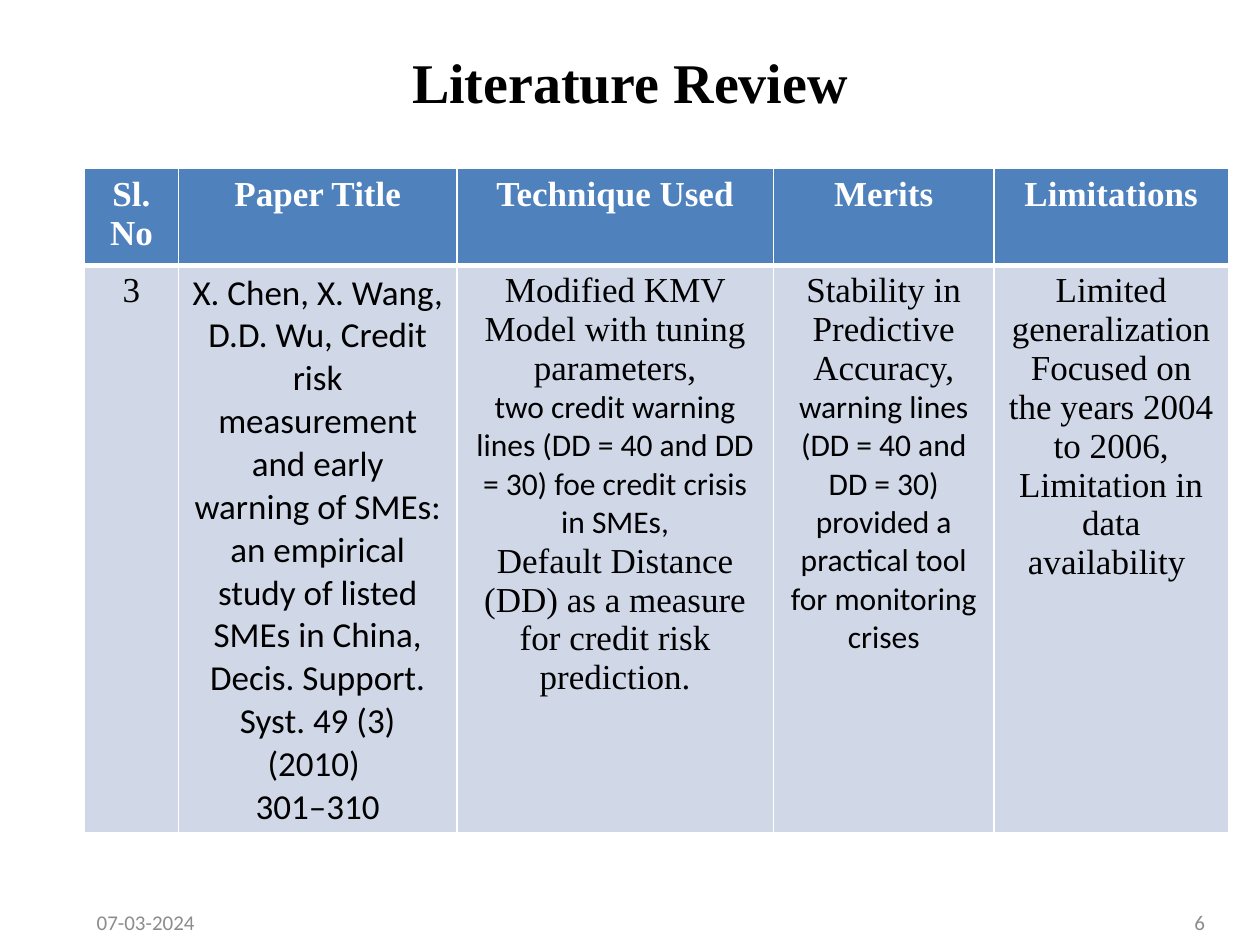
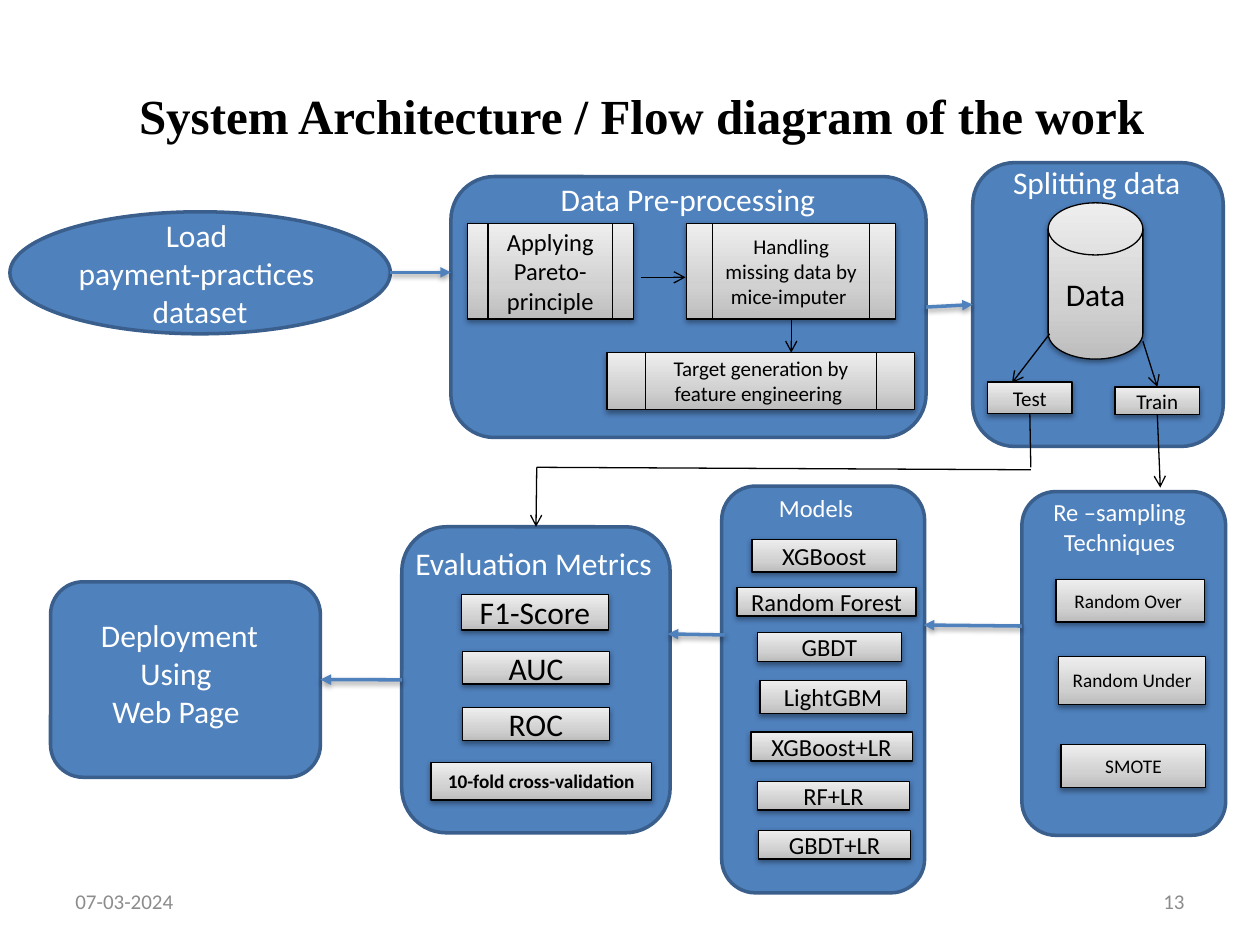
"""Build a literature review table slide and a system architecture slide."""
from copy import deepcopy

from pptx import Presentation
from pptx.dml.color import RGBColor as RGB
from pptx.enum.shapes import MSO_CONNECTOR as CONNECTOR, MSO_SHAPE as SHAPE
from pptx.enum.text import MSO_ANCHOR as ANCHOR, MSO_AUTO_SIZE as AUTO_SIZE, PP_ALIGN as ALIGN
from pptx.oxml import parse_xml
from pptx.oxml.ns import nsdecls, qn
from pptx.util import Cm, Pt

THEME = {
    "blue": RGB.from_string("4F81BD"),
    "outline": RGB.from_string("3A5F8C"),
    "row": RGB.from_string("D0D8E8"),
    "white": RGB.from_string("FFFFFF"),
    "black": RGB.from_string("000000"),
    "muted": RGB.from_string("8C8C8C"),
    "gradient": [(0, "BDBDBD"), (0.35, "D1D1D1"), (1, "EEEEEE")],
    "serif": "Times New Roman",
    "sans": "Calibri",
    "title": 32,
    "long_title": 28,
    "table": 20,
    "label": 18,
    "step": 14,
    "small": 12,
    "tiny": 11,
    "thick": Pt(2),
    "thin": Pt(0.75),
}
SHADOW = parse_xml(
    f'<a:outerShdw {nsdecls("a")} blurRad="40000" dist="20000" dir="5400000" rotWithShape="0">'
    '<a:srgbClr val="000000"><a:alpha val="38000"/></a:srgbClr></a:outerShdw>'
)


def write(text_frame, text, size, color, name=THEME["sans"], bold=False, align=ALIGN.CENTER):
    """Add each line of text as a formatted paragraph."""
    for line in text.split("\n"):
        paragraph = text_frame.paragraphs[0]
        if paragraph.runs:
            paragraph = text_frame.add_paragraph()
        paragraph.alignment = align
        run = paragraph.add_run()
        run.text = line
        for attribute, value in {"size": Pt(size), "name": name, "bold": bold}.items():
            setattr(run.font, attribute, value)
        run.font.color.rgb = color


def add_box(slide, kind, box, text, size, color, bold=False, align=ALIGN.CENTER):
    """Add a shape, or a text box when kind is None, with centred-height text."""
    lengths = [Cm(length) for length in box]
    if kind is None:
        shape = slide.shapes.add_textbox(*lengths)
    else:
        shape = slide.shapes.add_shape(kind, *lengths)
        shape.shadow.inherit = False
    for attribute, value in {"word_wrap": True, "vertical_anchor": ANCHOR.MIDDLE}.items():
        setattr(shape.text_frame, attribute, value)
    if text:
        write(shape.text_frame, text, size, color, bold=bold, align=align)
    return shape


presentation = Presentation()
presentation.slide_width, presentation.slide_height = Cm(25.4), Cm(19.05)

slides = []
for title, size, title_box, date_left, number_left, footer_top, number in [
    ("Literature Review", THEME["title"], (2.29, 0.84, 20.83, 3.18), 1.7, 18.62, 18.08, "6"),
    ("System Architecture / Flow diagram of the work", THEME["long_title"],
     (1.02, 1.6, 23.83, 3.18), 1.27, 18.21, 17.65, "13"),
]:
    slide = presentation.slides.add_slide(presentation.slide_layouts[5])
    slides.append(slide)
    heading = slide.shapes.title
    for attribute, length in zip(("left", "top", "width", "height"), title_box):
        setattr(heading, attribute, Cm(length))
    for attribute, value in {"vertical_anchor": ANCHOR.TOP, "auto_size": AUTO_SIZE.NONE}.items():
        setattr(heading.text_frame, attribute, value)
    write(heading.text_frame, title, size, THEME["black"], THEME["serif"], True)
    for left, text, align in [(date_left, "07-03-2024", ALIGN.LEFT),
                              (number_left, number, ALIGN.RIGHT)]:
        add_box(slide, None, (left, footer_top, 5.92, 1.02), text,
                THEME["small"], THEME["muted"], align=align)
review, architecture = slides

serif = (THEME["table"], THEME["serif"])
sans = (THEME["table"], THEME["sans"])
sans_small = (THEME["label"], THEME["sans"])
rows = [
    [[(text, *serif)] for text in
     ("Sl.\nNo", "Paper Title", "Technique Used", "Merits", "Limitations")],
    [
        [("3", *serif)],
        [("X. Chen, X. Wang, D.D. Wu, Credit risk measurement and early warning of SMEs: "
          "an empirical study of listed SMEs in China, Decis. Support. Syst. 49 (3) (2010) "
          "\n301–310", *sans)],
        [("Modified KMV Model with tuning parameters,", *serif),
         ("two credit warning lines (DD = 40 and DD = 30) foe credit crisis in SMEs,",
          *sans_small),
         ("Default Distance (DD) as a measure for credit risk prediction.", *serif)],
        [("Stability in Predictive Accuracy,", *serif),
         ("warning lines (DD = 40 and DD = 30) provided a practical tool for monitoring crises",
          *sans_small)],
        [("Limited generalization\nFocused on the years 2004 to 2006,\n"
          "Limitation in data availability ", *serif)],
    ],
]
table = review.shapes.add_table(2, 5, Cm(1.7), Cm(3.4), Cm(23.07), Cm(13.21)).table
for column, width in zip(table.columns, (1.9, 5.61, 6.38, 4.45, 4.72)):
    column.width = Cm(width)
for row, height in zip(table.rows, (1.78, 11.43)):
    row.height = Cm(height)
row_styles = [(THEME["blue"], THEME["white"], True, 3), (THEME["row"], THEME["black"], False, 1)]
for row_index, (fill, color, bold, bottom) in enumerate(row_styles):
    top = 1 if row_index == 0 else row_styles[row_index - 1][3]
    for column_index, parts in enumerate(rows[row_index]):
        cell = table.cell(row_index, column_index)
        properties = cell._tc.get_or_add_tcPr()
        for side, points in {"L": 1, "R": 1, "T": top, "B": bottom}.items():
            properties.append(parse_xml(
                f'<a:ln{side} {nsdecls("a")} w="{Pt(points)}"><a:solidFill>'
                f'<a:srgbClr val="{THEME["white"]}"/></a:solidFill></a:ln{side}>'))
        cell.fill.solid()
        cell.fill.fore_color.rgb = fill
        for text, size, name in parts:
            write(cell.text_frame, text, size, color, name, bold)

shapes = {}
for name, kind, box, text in [
    ("load", SHAPE.OVAL, (0.2, 4.27, 7.67, 2.46), "Load \npayment-practices \ndataset"),
    ("preprocessing", SHAPE.ROUNDED_RECTANGLE, (9.09, 3.56, 9.58, 5.26), ""),
    ("models", SHAPE.ROUNDED_RECTANGLE, (14.55, 9.8, 4.09, 8.2), ""),
    ("splitting", SHAPE.ROUNDED_RECTANGLE, (19.61, 3.28, 5.05, 5.72), ""),
    ("resampling", SHAPE.ROUNDED_RECTANGLE, (20.6, 9.91, 4.11, 6.93), ""),
    ("evaluation", SHAPE.ROUNDED_RECTANGLE, (8.1, 10.62, 5.41, 6.17), ""),
    ("deployment", SHAPE.ROUNDED_RECTANGLE, (1.02, 11.73, 5.44, 3.94), ""),
]:
    panel = add_box(architecture, kind, box, text, THEME["label"], THEME["white"])
    panel.fill.solid()
    panel.fill.fore_color.rgb = THEME["blue"]
    panel.line.color.rgb = THEME["outline"]
    panel.line.width = THEME["thick"]
    shapes[name] = panel

for kind, box, text, size in [
    (SHAPE.RECTANGLE, (10.29, 3.68, 7.16, 0.66), "Data Pre-processing", THEME["label"]),
    (SHAPE.RECTANGLE, (15.32, 10.06, 2.26, 0.36), "Models", THEME["step"]),
    (SHAPE.RECTANGLE, (19.99, 3.45, 4.24, 0.43), "Splitting data", THEME["label"]),
    (SHAPE.RECTANGLE, (20.93, 10.13, 3.28, 0.97), "Re –sampling\nTechniques", THEME["step"]),
    (None, (8, 11, 5.66, 0.71), "Evaluation Metrics ", THEME["label"]),
    (None, (0.79, 13.21, 5.66, 0.71), "Deployment\nUsing \nWeb Page ", THEME["label"]),
]:
    caption = add_box(architecture, kind, box, text, size, THEME["white"])
    if kind is not None:
        caption.fill.solid()
        caption.fill.fore_color.rgb = THEME["blue"]
        caption.line.fill.background()

process, rectangle = SHAPE.FLOWCHART_PREDEFINED_PROCESS, SHAPE.RECTANGLE
for name, kind, box, text, size in [
    ("pareto", process, (9.42, 4.5, 3.35, 1.93), "Applying Pareto-principle", THEME["step"]),
    ("missing", process, (13.84, 4.5, 4.22, 1.93),
     "Handling missing data by mice-imputer ", THEME["small"]),
    ("target", process, (12.24, 7.11, 6.2, 1.14),
     "Target generation by feature engineering ", THEME["small"]),
    ("data", SHAPE.FLOWCHART_MAGNETIC_DISK, (21.13, 4.09, 1.91, 3.15), "Data", THEME["label"]),
    ("test", rectangle, (19.91, 7.7, 1.7, 0.64), "Test", THEME["small"]),
    ("train", rectangle, (22.48, 7.8, 1.7, 0.56), "Train", THEME["small"]),
    ("xgboost", rectangle, (15.16, 10.87, 2.92, 0.66), "XGBoost", THEME["step"]),
    ("forest", rectangle, (14.86, 11.84, 3.61, 0.58), "Random Forest", THEME["step"]),
    ("gbdt", rectangle, (15.27, 12.75, 2.9, 0.58), "GBDT", THEME["step"]),
    ("lightgbm", rectangle, (15.32, 13.72, 2.95, 0.66), "LightGBM", THEME["step"]),
    ("xgboost_lr", rectangle, (15.14, 14.76, 3.25, 0.58), "XGBoost+LR", THEME["step"]),
    ("forest_lr", rectangle, (15.27, 15.75, 3.07, 0.58), "RF+LR", THEME["step"]),
    ("gbdt_lr", rectangle, (15.29, 16.74, 3.07, 0.58), "GBDT+LR", THEME["step"]),
    ("over", rectangle, (21.29, 11.68, 3, 0.86), "Random Over ", THEME["tiny"]),
    ("under", rectangle, (21.34, 13.23, 2.97, 0.97), "Random Under ", THEME["tiny"]),
    ("smote", rectangle, (21.39, 15.01, 2.92, 0.86), "SMOTE", THEME["tiny"]),
    ("f1", rectangle, (9.3, 11.99, 2.97, 0.71), "F1-Score", THEME["label"]),
    ("auc", rectangle, (9.32, 13.13, 2.97, 0.66), "AUC", THEME["label"]),
    ("roc", rectangle, (9.32, 14.27, 2.97, 0.66), "ROC", THEME["label"]),
    ("folds", rectangle, (8.69, 15.37, 4.45, 0.76), "10-fold cross-validation", THEME["tiny"]),
]:
    step = add_box(architecture, kind, box, text, size, THEME["black"], name == "folds")
    step.fill.gradient()
    step.fill.gradient_angle = 90
    properties = step._element.spPr
    stop_list = properties.find(f'{qn("a:gradFill")}/{qn("a:gsLst")}')
    stop_list.insert(1, deepcopy(stop_list[0]))
    for stop, (position, color) in zip(step.fill.gradient_stops, THEME["gradient"]):
        stop.position = position
        stop.color.rgb = RGB.from_string(color)
    step.line.color.rgb = THEME["black"]
    step.line.width = THEME["thin"]
    properties.find(qn("a:effectLst")).append(deepcopy(SHADOW))
    shapes[name] = step

flow = {"color": THEME["blue"], "width": THEME["thick"], "head": "triangle", "shadow": True}
arrow = {"color": THEME["black"], "width": THEME["thin"], "head": "arrow", "shadow": False}
plain = {**arrow, "head": "none"}
for style, points, begin, end in [
    (flow, (7.87, 5.49, 9.09, 5.49), None, None),
    (flow, (18.67, 6.2, 19.61, 6.13), ("preprocessing", 3), ("splitting", 1)),
    (flow, (20.6, 12.62, 18.62, 12.6), None, None),
    (flow, (14.61, 12.8, 13.46, 12.78), None, None),
    (flow, (8.1, 13.72, 6.45, 13.72), ("evaluation", 1), ("deployment", 3)),
    (arrow, (12.93, 5.59, 13.82, 5.59), None, None),
    (arrow, (15.95, 6.43, 15.95, 7.11), ("missing", 2), None),
    (arrow, (21.16, 6.73, 20.4, 7.72), None, None),
    (arrow, (23.04, 6.88, 23.33, 7.8), None, ("train", 0)),
    (arrow, (23.37, 8.36, 23.39, 9.83), ("train", 2), None),
    (arrow, (10.82, 9.42, 10.82, 10.62), None, ("evaluation", 0)),
    (plain, (20.78, 9.47, 10.82, 9.42), None, None),
    (plain, (20.78, 9.42, 20.75, 8.33), None, ("test", 2)),
]:
    connector = architecture.shapes.add_connector(
        CONNECTOR.STRAIGHT, *[Cm(length) for length in points])
    for join, site in [(connector.begin_connect, begin), (connector.end_connect, end)]:
        if site:
            join(shapes[site[0]], site[1])
    connector.line.color.rgb = style["color"]
    connector.line.width = style["width"]
    properties = connector._element.spPr
    properties.find(qn("a:ln")).append(
        parse_xml(f'<a:tailEnd {nsdecls("a")} type="{style["head"]}"/>'))
    effects = parse_xml(f'<a:effectLst {nsdecls("a")}/>')
    if style["shadow"]:
        effects.append(deepcopy(SHADOW))
    properties.append(effects)

presentation.save("out.pptx")
